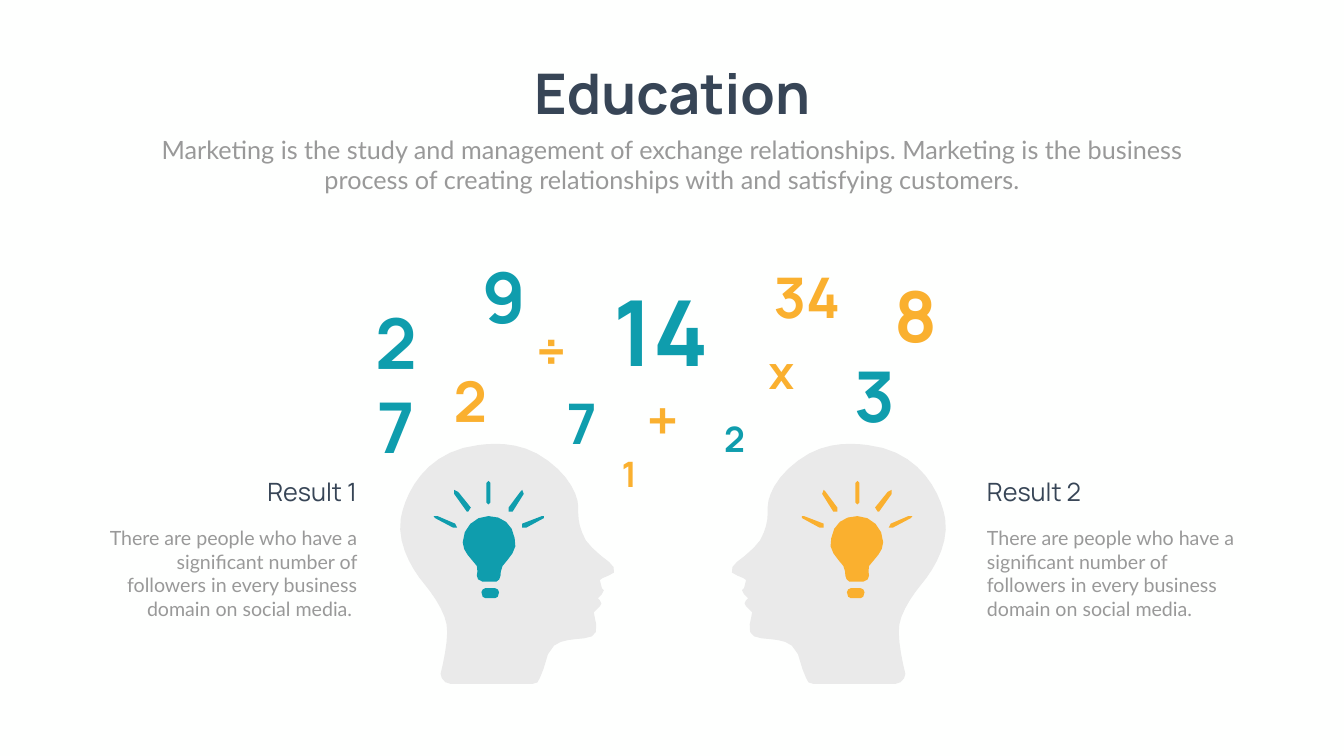
from math import dist
from typing import NamedTuple

from pptx import Presentation
from pptx.dml.color import RGBColor
from pptx.enum.text import MSO_ANCHOR, MSO_AUTO_SIZE, PP_ALIGN
from pptx.util import Cm, Pt

TEAL, AMBER, GREY, NAVY, PALE = "0F9DAD", "FAB02F", "999999", "374556", "EAEAEA"
UNIT = Cm(2.54) // 100  # outline coordinates count hundredths of 2.54 cm
MIRROR_SUM = 2670  # x of a point plus x of its mirror point
STEP_LENGTH = 25  # longest chord, in outline units, that stands in for a curve

TITLE_STYLE = {"name": "Manrope", "size": Pt(80), "bold": True}
INTRO_STYLE = {"name": "Lato", "size": Pt(36), "bold": False}
HEADING_STYLE = {"name": "Manrope", "size": Pt(36), "bold": False}
BODY_STYLE = {"name": "Lato", "size": Pt(28), "bold": False}

INTRO = (
    "Marketing is the study and management of exchange relationships. "
    "Marketing is the business process of creating relationships with "
    "and satisfying customers."
)
BODY = (
    "There are people who have a significant number of followers "
    "in every business domain on social media."
)


class Symbol(NamedTuple):
    text: str
    left: float
    top: float
    width: float
    size: int
    color: str
    wraps: bool = False


class Result(NamedTuple):
    heading: str
    body: str
    heading_left: float
    body_left: float
    align: PP_ALIGN
    bulb_color: str
    mirrored: bool


class Outline(NamedTuple):
    """Each segment is a line (x, y) or a cubic curve (two controls and an end)."""

    start: tuple
    segments: list


SYMBOLS = [
    Symbol("2", 22.63, 18.34, 2.13, 80, AMBER),
    Symbol("34", 38.58, 13.11, 4.17, 80, AMBER),
    Symbol("7", 28.3, 19.46, 2.03, 80, TEAL),
    Symbol("÷", 26.7, 15.85, 2.16, 80, AMBER),
    Symbol("14", 30.63, 13.77, 5.38, 130, TEAL),
    Symbol("x", 38.43, 17.2, 1.9, 66, AMBER),
    Symbol("+", 32.23, 19.28, 2.31, 80, AMBER),
    Symbol("9", 24.08, 12.65, 2.69, 100, TEAL),
    Symbol("3", 42.75, 17.65, 2.67, 100, TEAL),
    Symbol("27", 17.85, 14.96, 4.25, 100, TEAL, wraps=True),
    Symbol("2", 36.25, 20.9, 1.52, 50, TEAL),
    Symbol("1", 31.12, 22.68, 1.17, 50, AMBER),
    Symbol("8", 44.73, 13.61, 2.82, 100, AMBER),
]
RESULTS = [
    Result("Result 2", BODY, 49.48, 49.48, PP_ALIGN.LEFT, AMBER, True),
    Result("Result 1", BODY + " ", 4.65, 4.73, PP_ALIGN.RIGHT, TEAL, False),
]

HEAD = Outline((842, 1159), [
    (819, 1132, 787, 1080, 795, 1029), (803, 982, 842, 895, 949, 883),
    (981, 879, 1036, 875, 1087, 914), (1131, 946, 1147, 985, 1147, 1005),
    (1147, 1025, 1147, 1037, 1155, 1057), (1159, 1077, 1190, 1100, 1194, 1104),
    (1210, 1116, 1222, 1124, 1218, 1136), (1210, 1143, 1190, 1147, 1190, 1151),
    (1194, 1167), (1198, 1171), (1194, 1179), (1186, 1187), (1190, 1191),
    (1194, 1195, 1194, 1199, 1190, 1203), (1178, 1215),
    (1178, 1223, 1186, 1239, 1182, 1254),
    (1178, 1270, 1143, 1266, 1127, 1270), (1111, 1274, 1099, 1274, 1087, 1298),
    (1083, 1310, 1079, 1329, 1071, 1345), (1071, 1353, 1063, 1357, 1056, 1357),
    (894, 1357), (882, 1357, 874, 1345, 874, 1337),
    (882, 1305, 890, 1262, 886, 1239), (882, 1215, 862, 1183, 842, 1159),
])
BULB = [
    Outline((963, 1187), [
        (982, 1187), (986, 1187, 990, 1183, 990, 1175),
        (990, 1171, 986, 1167, 982, 1167), (963, 1167),
        (959, 1167, 955, 1171, 955, 1175), (955, 1183, 959, 1187, 963, 1187),
    ]),
    Outline((993, 1142), [
        (993, 1146, 989, 1154, 985, 1154), (957, 1154),
        (949, 1154, 946, 1146, 946, 1142), (946, 1142, 949, 1127, 946, 1123),
        (934, 1107, 918, 1095, 918, 1076), (918, 1048, 941, 1024, 969, 1024),
        (997, 1024, 1017, 1040, 1021, 1068), (1029, 1091, 1009, 1107, 997, 1123),
        (993, 1127, 993, 1142, 993, 1142),
    ]),
    Outline((969, 1001), [
        (973, 997), (973, 958), (969, 954), (965, 958), (965, 997),
    ]),
    Outline((1009, 1015), [
        (1017, 1015), (1039, 980), (1036, 972), (1032, 976), (1009, 1007),
    ]),
    Outline((1036, 1047), [
        (1044, 1047), (1079, 1028), (1079, 1024), (1075, 1024), (1036, 1039),
    ]),
    Outline((929, 1015), [
        (926, 1015), (901, 980), (901, 972), (909, 976), (934, 1007),
    ]),
    Outline((907, 1047), [
        (899, 1047), (863, 1028), (860, 1024), (868, 1024), (903, 1039),
    ]),
]


def rgb(color: str) -> RGBColor:
    return RGBColor.from_string(color)


def trace(outline: Outline) -> list:
    """Turn the lines and curves of an outline into a list of points."""
    points = [outline.start]
    for segment in outline.segments:
        if len(segment) == 2:
            points.append(segment)
            continue
        x0, y0 = points[-1]
        x1, y1, x2, y2, x3, y3 = segment
        steps = 2 + int(dist((x0, y0), (x3, y3)) // STEP_LENGTH)
        for step in range(1, steps + 1):
            t = step / steps
            a, b, c, d = (1 - t) ** 3, 3 * t * (1 - t) ** 2, 3 * t * t * (1 - t), t ** 3
            points.append((a * x0 + b * x1 + c * x2 + d * x3,
                           a * y0 + b * y1 + c * y2 + d * y3))
    return points


def draw_outline(shapes, outline: Outline, color: str, mirrored: bool) -> None:
    points = [((MIRROR_SUM - x if mirrored else x) * UNIT, y * UNIT)
              for x, y in trace(outline)]
    builder = shapes.build_freeform(round(points[0][0]), round(points[0][1]), scale=1.0)
    builder.add_line_segments(points[1:], close=True)
    form = builder.convert_to_shape()
    form.shadow.inherit = False
    form.fill.solid()
    form.fill.fore_color.rgb = rgb(color)
    form.line.fill.background()


def write(frame, text: str, style: dict, color: str, align: PP_ALIGN, wraps=True) -> None:
    frame.word_wrap = wraps
    frame.auto_size = MSO_AUTO_SIZE.NONE
    frame.vertical_anchor = MSO_ANCHOR.TOP
    frame.text = text
    paragraph = frame.paragraphs[0]
    paragraph.alignment = align
    font = paragraph.runs[0].font
    for attribute, value in style.items():
        setattr(font, attribute, value)
    font.color.rgb = rgb(color)


def draw_symbol(shapes, symbol: Symbol) -> None:
    height = Pt(1.2 * symbol.size) + Cm(0.27)
    box = shapes.add_textbox(Cm(symbol.left), Cm(symbol.top), Cm(symbol.width), height)
    style = TITLE_STYLE | {"size": Pt(symbol.size)}
    write(box.text_frame, symbol.text, style, symbol.color, PP_ALIGN.CENTER, symbol.wraps)


def draw_result(shapes, result: Result) -> None:
    draw_outline(shapes, HEAD, PALE, result.mirrored)
    for part in BULB:
        draw_outline(shapes, part, result.bulb_color, result.mirrored)
    body = shapes.add_textbox(Cm(result.body_left), Cm(26.39), Cm(13.51), Cm(5.05))
    write(body.text_frame, result.body, BODY_STYLE, GREY, result.align)
    heading = shapes.add_textbox(Cm(result.heading_left), Cm(23.9), Cm(13.59), Cm(1.8))
    write(heading.text_frame, result.heading, HEADING_STYLE, NAVY, result.align)


def main() -> None:
    deck = Presentation()
    deck.slide_width, deck.slide_height = Cm(67.72), Cm(38.1)
    slide = deck.slides.add_slide(deck.slide_layouts[5])
    slide.background.fill.solid()
    slide.background.fill.fore_color.rgb = rgb("FEFFFE")

    title = slide.shapes.title
    title.left, title.top, title.width, title.height = Cm(26.21), Cm(2.84), Cm(15.32), Cm(3.68)
    write(title.text_frame, "Education", TITLE_STYLE, NAVY, PP_ALIGN.CENTER)
    intro = slide.shapes.add_textbox(Cm(7.42), Cm(6.63), Cm(52.88), Cm(3.33))
    write(intro.text_frame, INTRO, INTRO_STYLE, GREY, PP_ALIGN.CENTER)

    for result in RESULTS:
        draw_result(slide.shapes, result)
    for symbol in SYMBOLS:
        draw_symbol(slide.shapes, symbol)
    deck.save("out.pptx")


if __name__ == "__main__":
    main()
